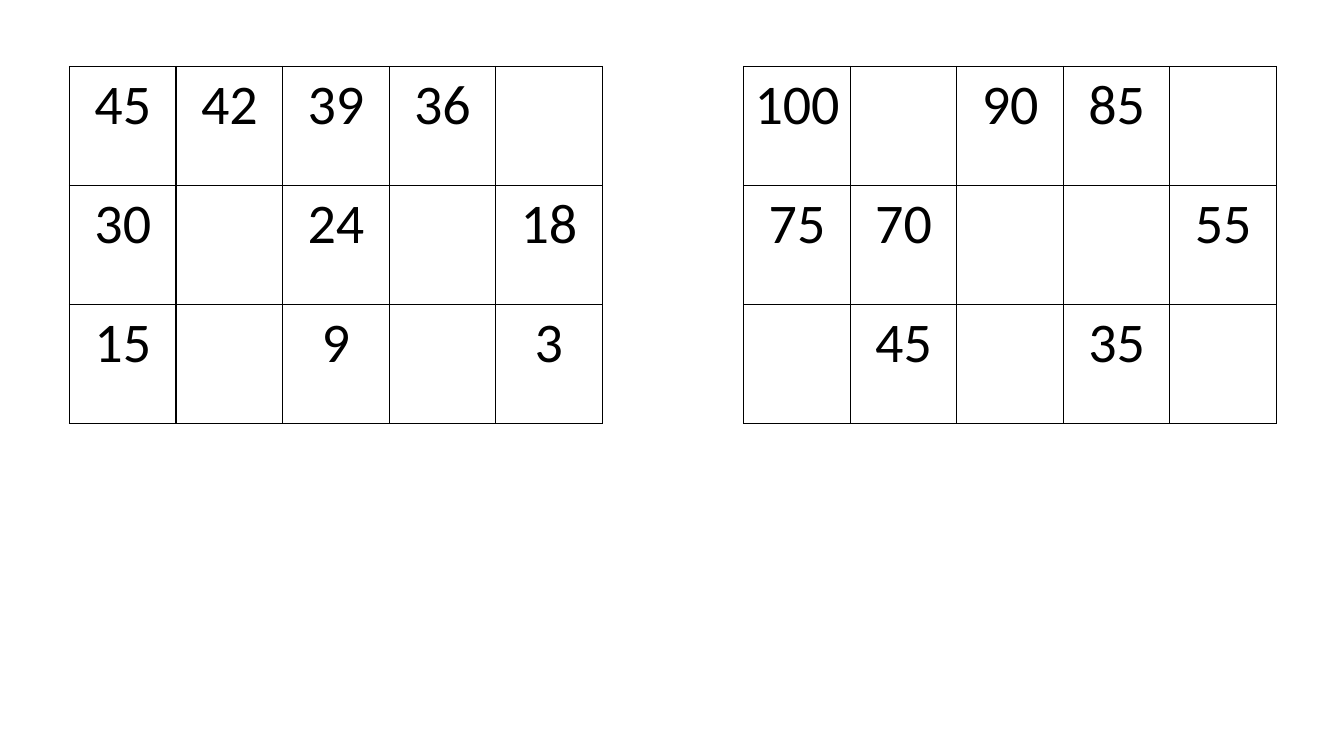
from lxml.etree import SubElement
from pptx import Presentation
from pptx.dml.color import RGBColor
from pptx.enum.text import PP_ALIGN as Align
from pptx.oxml.ns import qn
from pptx.util import Pt

BLACK = RGBColor(0, 0, 0)
COLUMN_WIDTH = 76.1
ROW_HEIGHT = 85
GRID_TOP = 47.5

COUNT_BY_THREES = [
    ["45", "42", "39", "36", ""],
    ["30", "", "24", "", "18"],
    ["15", "", "9", "", "3"],
]
COUNT_BY_FIVES = [
    ["100", "", "90", "85", ""],
    ["75", "70", "", "", "55"],
    ["", "45", "", "35", ""],
]


def write_text(frame, text, font="Calibri", size=40, color=BLACK, align=Align.CENTER):
    para = frame.paragraphs[0]
    para.alignment = align
    span = para.add_run()
    span.text = text
    span.font.name = font
    span.font.size = Pt(size)
    span.font.color.rgb = color


class NumberPage:
    def __init__(self, page, line_color=BLACK, line_width=1):
        self.page = page
        self.line_color = line_color
        self.line_width = line_width

    def border(self, cell):
        properties = cell._tc.get_or_add_tcPr()
        for position, side in enumerate(("lnL", "lnR", "lnT", "lnB")):
            line = SubElement(properties, qn(f"a:{side}"), w=str(Pt(self.line_width)))
            fill = SubElement(line, qn("a:solidFill"))
            SubElement(fill, qn("a:srgbClr"), val=str(self.line_color))
            properties.insert(position, line)

    def grid(self, left, top, numbers):
        row_count, column_count = len(numbers), len(numbers[0])
        table = self.page.shapes.add_table(
            row_count, column_count, Pt(left), Pt(top),
            Pt(COLUMN_WIDTH * column_count), Pt(ROW_HEIGHT * row_count),
        ).table
        table.first_row = False
        table.horz_banding = False
        for column in table.columns:
            column.width = Pt(COLUMN_WIDTH)
        for row, values in zip(table.rows, numbers):
            row.height = Pt(ROW_HEIGHT)
            for cell, value in zip(row.cells, values):
                cell.fill.background()
                self.border(cell)
                if value:
                    write_text(cell.text_frame, value)


def main():
    deck = Presentation()
    deck.slide_width, deck.slide_height = Pt(960), Pt(540)
    number_page = NumberPage(deck.slides.add_slide(deck.slide_layouts[6]))
    number_page.grid(49.7, GRID_TOP, COUNT_BY_THREES)
    number_page.grid(531.3, GRID_TOP, COUNT_BY_FIVES)
    deck.save("out.pptx")


if __name__ == "__main__":
    main()
